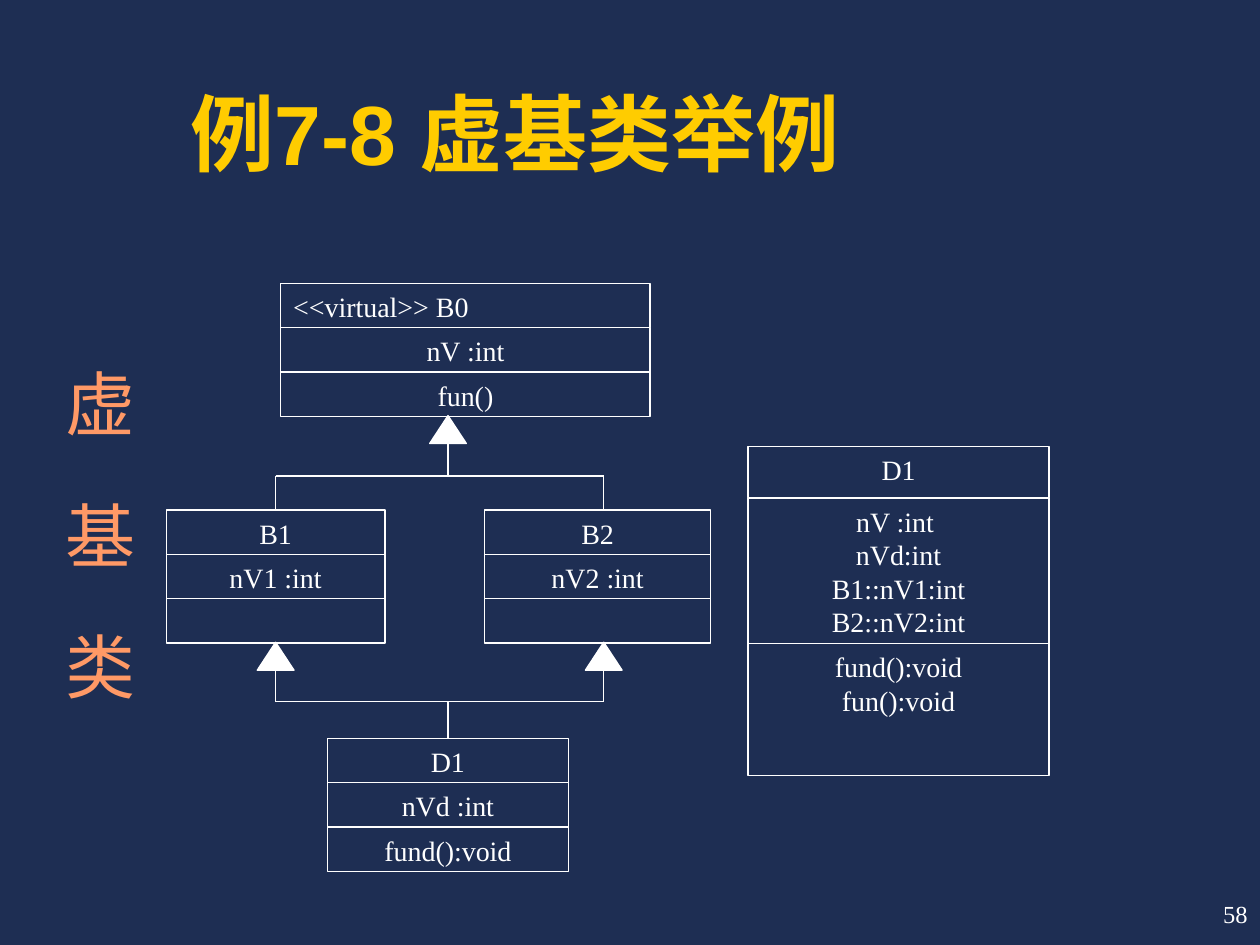
from dataclasses import dataclass
from lxml import etree
from pptx import Presentation
from pptx.dml.color import RGBColor
from pptx.enum.shapes import MSO_CONNECTOR, MSO_SHAPE
from pptx.enum.text import MSO_ANCHOR, PP_ALIGN
from pptx.oxml.ns import qn
from pptx.util import Pt

LEFT, CENTER, RIGHT, JUSTIFY = PP_ALIGN.LEFT, PP_ALIGN.CENTER, PP_ALIGN.RIGHT, PP_ALIGN.JUSTIFY
TOP, MIDDLE, BOTTOM = MSO_ANCHOR.TOP, MSO_ANCHOR.MIDDLE, MSO_ANCHOR.BOTTOM
RECTANGLE, TRIANGLE = MSO_SHAPE.RECTANGLE, MSO_SHAPE.ISOSCELES_TRIANGLE
STRAIGHT = MSO_CONNECTOR.STRAIGHT


@dataclass(frozen=True)
class Theme:
    background = RGBColor(0x1E, 0x2E, 0x53)
    title = RGBColor(0xFF, 0xCC, 0x00)
    side = RGBColor(0xFF, 0x99, 0x66)
    ink = RGBColor(0xFF, 0xFF, 0xFF)
    title_font, body_font = "Arial", "Times New Roman"
    title_size, side_size, body_size, number_size = Pt(48), Pt(40), Pt(16), Pt(14)
    line_width = Pt(0.75)


theme = Theme()


def write(box, lines, size, color, align=LEFT, anchor=TOP, font=theme.body_font):
    frame = box.text_frame
    frame.word_wrap = True
    frame.vertical_anchor = anchor
    frame.text = "\n".join(lines)
    for para in frame.paragraphs:
        para.alignment = align
        para.font.name, para.font.size, para.font.color.rgb = font, size, color


def connect(x1, y1, x2, y2):
    line = page.shapes.add_connector(STRAIGHT, Pt(x1), Pt(y1), Pt(x2), Pt(y2))
    line.line.color.rgb, line.line.width = theme.ink, theme.line_width
    etree.SubElement(line._element.spPr, qn("a:effectLst"))
    return line


deck = Presentation()
deck.slide_width, deck.slide_height = Pt(720), Pt(540)
page = deck.slides.add_slide(deck.slide_layouts[6])
page.background.fill.solid()
page.background.fill.fore_color.rgb = theme.background

# Page number and title
number = page.shapes.add_textbox(Pt(570), Pt(504), Pt(150), Pt(36))
write(number, ["58"], theme.number_size, theme.ink, RIGHT, MIDDLE)
title = page.shapes.add_textbox(Pt(102), Pt(18), Pt(564), Pt(90))
write(title, ["例7-8 虚基类举例"], theme.title_size, theme.title, LEFT, BOTTOM, theme.title_font)
title.text_frame.paragraphs[0].font.bold = True

# Vertical side heading, spread by letter spacing
side = page.shapes.add_textbox(Pt(18), Pt(60), Pt(62), Pt(456))
write(side, ["虚 基 类"], theme.side_size, theme.side)
side.text_frame.margin_top = Pt(151)
side.text_frame.margin_left = side.text_frame.margin_right = 0
side.text_frame._txBody.bodyPr.set("vert", "eaVert")
side.text_frame.paragraphs[0].runs[0].font._element.set("spc", "1300")

# Class boxes: key, left, top, width, compartments (height, lines)
ROW = 25.3
CLASSES = [
    ("D1 members", 427.5, 255, 172, [
        (29.5, ["D1"]),
        (83.3, ["nV :int ", "nVd:int", "B1::nV1:int", "B2::nV2:int"]),
        (75.5, ["fund():void", "fun():void"])]),
    ("B0", 160.5, 162, 211, [(ROW, ["<<virtual>> B0"]), (ROW, ["nV :int"]), (ROW, ["fun()"])]),
    ("B1", 95, 291.5, 125, [(ROW, ["B1"]), (ROW, ["nV1 :int"]), (ROW, [])]),
    ("B2", 277, 291.5, 129, [(ROW, ["B2"]), (ROW, ["nV2 :int"]), (ROW, [])]),
    ("D1", 187, 422, 138, [(ROW, ["D1"]), (ROW, ["nVd :int"]), (ROW, ["fund():void"])]),
]
heads = {}
for key, left, top, width, compartments in CLASSES:
    for height, lines in compartments:
        box = page.shapes.add_shape(RECTANGLE, Pt(left), Pt(top), Pt(width), Pt(height))
        box.shadow.inherit = False
        box.fill.background()
        box.line.color.rgb, box.line.width = theme.ink, theme.line_width
        if lines:
            align = JUSTIFY if lines[0].startswith("<<") else CENTER
            write(box, lines, theme.body_size, theme.ink, align)
        heads.setdefault(key, box)
        top += height

# Inheritance arrowheads, each with a stem down to its bar
B1_X, TRUNK_X, B2_X = 157.5, 256, 345
UPPER_BAR, LOWER_BAR = 272, 401
HEAD_WIDTH, HEAD_HEIGHT = 21, 16
for x, tip, bar in [(TRUNK_X, 237.5, UPPER_BAR), (B1_X, 367, LOWER_BAR), (B2_X, 367, LOWER_BAR)]:
    head = page.shapes.add_shape(TRIANGLE, Pt(x - HEAD_WIDTH / 2), Pt(tip), Pt(HEAD_WIDTH), Pt(HEAD_HEIGHT))
    head.shadow.inherit = False
    head.fill.solid()
    head.fill.fore_color.rgb = head.line.color.rgb = theme.ink
    head.line.width = theme.line_width
    connect(x, tip + HEAD_HEIGHT, x, bar)

# Bars and the lines down to the derived classes
for bar in (UPPER_BAR, LOWER_BAR):
    connect(B1_X, bar, B2_X, bar)
connect(B1_X, UPPER_BAR, B1_X, 291.5).end_connect(heads["B1"], 0)
connect(B2_X, UPPER_BAR, B2_X, 291.5)
connect(TRUNK_X, LOWER_BAR, TRUNK_X, 422).end_connect(heads["D1"], 0)

deck.save("out.pptx")
